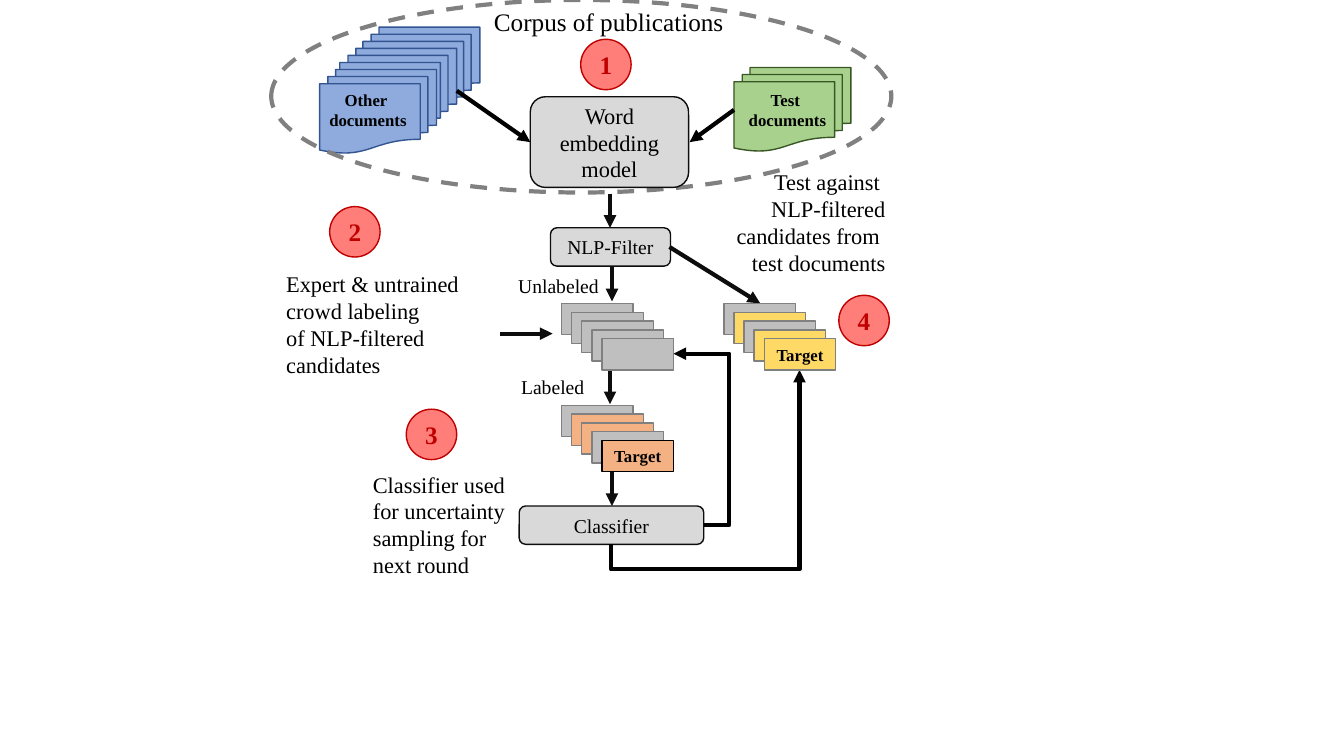
import pptx
import pptx.util
import pptx.dml.color
import pptx.enum.dml
import pptx.enum.shapes
import pptx.enum.text
import pptx.oxml
import pptx.oxml.ns

Inches = pptx.util.Inches
SHAPE = pptx.enum.shapes.MSO_SHAPE
CONNECTOR = pptx.enum.shapes.MSO_CONNECTOR
ALIGN = pptx.enum.text.PP_ALIGN
BLACK, INK, GRAY, RED = "000000", "0D0D0D", "808080", "C00000"
BOX_GRAY, CARD_GRAY, ORANGE, YELLOW = "D9D9D9", "BFBFBF", "F4B183", "FFD966"

deck = pptx.Presentation()
deck.slide_width, deck.slide_height = Inches(13.33), Inches(7.5)
page = deck.slides.add_slide(deck.slide_layouts[6])


def paint(fill, color):
    fill.solid()
    fill.fore_color.rgb = pptx.dml.color.RGBColor.from_string(color)


def add_block(kind, at, fill=None, line=None, lines=(), size=12, color=BLACK,
              bold=False, align=ALIGN.CENTER, wrap=True):
    """Add a preset shape, or a text box when kind is None."""
    place = [Inches(length) for length in at]
    if kind is None:
        box = page.shapes.add_textbox(*place)
    else:
        box = page.shapes.add_shape(kind, *place)
        box.shadow.inherit = False
        box.text_frame.vertical_anchor = pptx.enum.text.MSO_ANCHOR.MIDDLE
        paint(box.line.fill, line)
        box.line.width = pptx.util.Pt(1)
        if fill:
            paint(box.fill, fill)
        else:
            box.fill.background()
    box.text_frame.word_wrap = wrap
    for index, text in enumerate(lines):
        para = box.text_frame.add_paragraph() if index else box.text_frame.paragraphs[0]
        para.alignment = align
        span = para.add_run()
        span.text = text
        span.font.name = "Times New Roman"
        span.font.size = pptx.util.Pt(size)
        span.font.bold = bold
        paint(span.font.fill, color)
    return box


# Document stacks and the corpus outline
for left, top, fill, line in [
    (3.6, 0.27, "8FAADC", "325491"),
    (3.37, 0.48, "8FAADC", "325491"),
    (3.17, 0.69, "8FAADC", "325491"),
    (7.28, 0.67, "A9D18E", "385723"),
]:
    add_block(SHAPE.FLOWCHART_MULTIDOCUMENT, (left, top, 1.16, 0.83), fill, line)
corpus = add_block(SHAPE.OVAL, (2.69, 0, 6.15, 1.91), line=GRAY)
corpus.line.width = pptx.util.Pt(3)
corpus.line.dash_style = pptx.enum.dml.MSO_LINE.DASH
for left, name in [(3.16, "Other "), (7.32, "Test ")]:
    add_block(None, (left, 0.84, 0.98, 0.5), lines=(name, "documents"), bold=True, wrap=False)

# Processing steps
for at, name, size in [
    ((5.26, 0.96, 1.57, 0.9), "Word embedding model", 16),
    ((5.46, 2.26, 1.19, 0.38), "NLP-Filter", 14),
    ((5.15, 5.02, 1.83, 0.38), "Classifier", 14),
]:
    add_block(SHAPE.ROUNDED_RECTANGLE, at, BOX_GRAY, INK, [name], size)

# Captions
for at, lines, size, align, wrap in [
    ((4.8, 0.01, 2.49, 0.4), ["Corpus of publications"], 18, ALIGN.LEFT, False),
    ((5.04, 2.67, 1.02, 0.34), ["Unlabeled"], 14, ALIGN.LEFT, False),
    ((5.07, 3.67, 0.83, 0.34), ["Labeled"], 14, ALIGN.LEFT, False),
    ((2.74, 2.63, 1.93, 1.18),
     ["Expert & untrained", "crowd labeling", "of NLP-filtered", "candidates"],
     16, ALIGN.LEFT, False),
    ((3.6, 4.62, 1.73, 1.18),
     ["Classifier used", "for uncertainty sampling for next round"], 16, ALIGN.LEFT, True),
    ((6.8, 1.62, 2.08, 1.18),
     ["Test against ", "NLP-filtered", "candidates from ", "test documents"],
     16, ALIGN.RIGHT, True),
]:
    add_block(None, at, lines=lines, size=size, align=align, wrap=wrap)

# Numbered circles
for number, (left, top) in enumerate(
        [(5.76, 0.39), (3.27, 2.05), (4.03, 4.06), (8.32, 2.93)], start=1):
    add_block(SHAPE.OVAL, (left, top, 0.5, 0.5), "FF7E79", RED, [str(number)], 18, RED, True)

# Arrows: ends, colour, and for elbows the bend (in 1/100000) and the turn in degrees
for ends, color, bend, turn in [
    ((4.53, 0.9, 5.26, 1.41), BLACK, None, 0),
    ((7.28, 1.09, 6.84, 1.41), BLACK, None, 0),
    ((6.05, 1.92, 6.05, 2.26), INK, None, 0),
    ((6.07, 2.65, 6.07, 2.99), INK, None, 0),
    ((6.64, 2.45, 7.54, 3.01), INK, None, 0),
    ((4.96, 3.31, 5.48, 3.31), INK, None, 0),
    ((6.05, 3.67, 6.05, 4.01), INK, None, 0),
    ((6.07, 4.67, 6.07, 5.02), INK, None, 0),
    ((6.98, 5.21, 6.68, 3.51), BLACK, -84500, 0),
    ((7.86, 5.47, 6.13, 3.6), BLACK, -14400, 90),
]:
    kind = CONNECTOR.ELBOW if bend else CONNECTOR.STRAIGHT
    arrow = page.shapes.add_connector(kind, *[Inches(length) for length in ends])
    paint(arrow.line.fill, color)
    arrow.line.width = pptx.util.Pt(3)
    properties = arrow._element.spPr
    head = pptx.oxml.parse_xml(
        f'<a:tailEnd {pptx.oxml.ns.nsdecls("a")} type="triangle"/>')
    properties.find(pptx.oxml.ns.qn("a:ln")).append(head)
    properties.append(pptx.oxml.parse_xml(f'<a:effectLst {pptx.oxml.ns.nsdecls("a")}/>'))
    if bend:
        guides = properties.find(".//" + pptx.oxml.ns.qn("a:avLst"))
        guides.append(pptx.oxml.parse_xml(
            f'<a:gd {pptx.oxml.ns.nsdecls("a")} name="adj1" fmla="val {bend}"/>'))
    if turn:
        properties.find(pptx.oxml.ns.qn("a:xfrm")).set("rot", str(turn * 60000))

# Candidate card stacks, back card first
for left, top, fills, front_line, label in [
    (5.57, 3.01, [CARD_GRAY] * 5, GRAY, []),
    (5.57, 4.02, [CARD_GRAY, ORANGE, ORANGE, CARD_GRAY, ORANGE], BLACK, ["Target"]),
    (7.18, 3.01, [CARD_GRAY, YELLOW, CARD_GRAY, YELLOW, YELLOW], GRAY, ["Target"]),
]:
    for index, fill in enumerate(fills):
        front = index == len(fills) - 1
        add_block(SHAPE.RECTANGLE, (left + 0.1 * index, top + 0.35 * index / 4, 0.71, 0.31),
                  fill, front_line if front else GRAY, label if front else [], bold=True)

deck.save("out.pptx")
